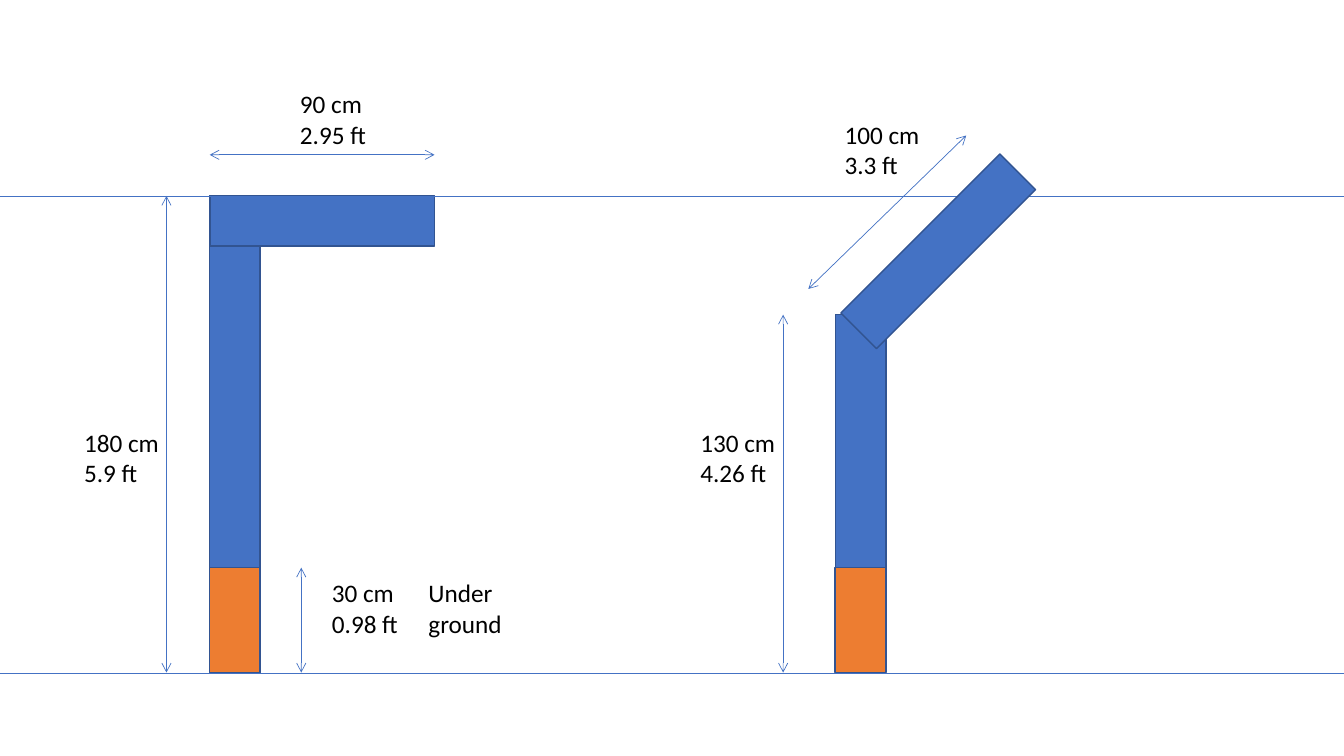
from dataclasses import dataclass
from lxml.etree import SubElement
from pptx import Presentation
from pptx.dml.color import RGBColor
from pptx.enum.shapes import MSO_CONNECTOR as Connector, MSO_SHAPE as Preset
from pptx.enum.text import MSO_AUTO_SIZE as AutoSize
from pptx.oxml.ns import qn
from pptx.util import Pt


@dataclass(frozen=True)
class Theme:
    post: RGBColor = RGBColor(0x44, 0x72, 0xC4)
    buried: RGBColor = RGBColor(0xED, 0x7D, 0x31)
    outline: RGBColor = RGBColor(0x32, 0x54, 0x91)
    text: RGBColor = RGBColor(0, 0, 0)
    font: str = "Calibri"
    size: float = 18
    outline_width: float = 1
    line_width: float = 0.5


theme = Theme()
WIDTH, HEIGHT = 960, 540
TOP, SOIL, BASE = 139.7, 405.5, 480.4
BAR, ARM, LABEL_HEIGHT = 36, 160.7, 51
LEFT_POST, RIGHT_POST, RIGHT_TOP = 149.8, 596.8, 224.8

LEFT_BARS = [
    (LEFT_POST, TOP, BASE - TOP, 0, theme.post),
    (212.2, 77.4, ARM, 90, theme.post),
    (LEFT_POST, SOIL, BASE - SOIL, 0, theme.buried),
]
RIGHT_BARS = [
    (RIGHT_POST, RIGHT_TOP, BASE - RIGHT_TOP, 0, theme.post),
    (652.2, 99.2, ARM, 45, theme.post),
    (596.4, SOIL, BASE - SOIL, 0, theme.buried),
]
LEVELS = [BASE + 0.4, TOP + 0.3]
DIMENSIONS = [
    (118.9, TOP + 0.3, 118.9, BASE),
    (LEFT_POST, 110.6, 310.4, 110.6),
    (215.2, SOIL, 215.2, BASE),
    (559.4, RIGHT_TOP, 559.4, BASE),
    (690.2, 96.8, 577.4, 206.4),
]
LABELS = [
    (53, 301.7, 103, ["180 cm", "5.9 ft"]),
    (207.2, 59.8, 103, ["90 cm", "2.95 ft"]),
    (230, 409, 69, ["30 cm", "0.98 ft"]),
    (299, 409, 69, ["Under ground"]),
    (493.2, 301.7, 103, ["130 cm", "4.26 ft"]),
    (596.2, 81.7, 103, ["100 cm", "3.3 ft"]),
]

presentation = Presentation()
presentation.slide_width, presentation.slide_height = Pt(WIDTH), Pt(HEIGHT)
slide = presentation.slides.add_slide(presentation.slide_layouts[6])


def add_bar(left, top, length, rotation, color):
    shape = slide.shapes.add_shape(Preset.RECTANGLE, Pt(left), Pt(top), Pt(BAR), Pt(length))
    shape.rotation = rotation
    shape.shadow.inherit = False
    shape.fill.solid()
    shape.fill.fore_color.rgb = color
    shape.line.color.rgb = theme.outline
    shape.line.width = Pt(theme.outline_width)


def add_line(x1, y1, x2, y2, arrows=False):
    connector = slide.shapes.add_connector(Connector.STRAIGHT, Pt(x1), Pt(y1), Pt(x2), Pt(y2))
    connector.line.color.rgb = theme.post
    connector.line.width = Pt(theme.line_width)
    if arrows:
        for end in ("a:headEnd", "a:tailEnd"):
            SubElement(connector.line._get_or_add_ln(), qn(end), type="arrow")
    SubElement(connector._element.spPr, qn("a:effectLst"))


def add_label(left, top, width, lines):
    box = slide.shapes.add_textbox(Pt(left), Pt(top), Pt(width), Pt(LABEL_HEIGHT))
    frame = box.text_frame
    frame.word_wrap = True
    frame.auto_size = AutoSize.SHAPE_TO_FIT_TEXT
    for index, line in enumerate(lines):
        paragraph = frame.add_paragraph() if index else frame.paragraphs[0]
        run = paragraph.add_run()
        run.text = line
        run.font.name = theme.font
        run.font.size = Pt(theme.size)
        run.font.color.rgb = theme.text


for bar in LEFT_BARS:
    add_bar(*bar)
for level in LEVELS:
    add_line(0, level, WIDTH, level)
for bar in RIGHT_BARS:
    add_bar(*bar)
for dimension in DIMENSIONS:
    add_line(*dimension, arrows=True)
for label in LABELS:
    add_label(*label)

presentation.save("out.pptx")
